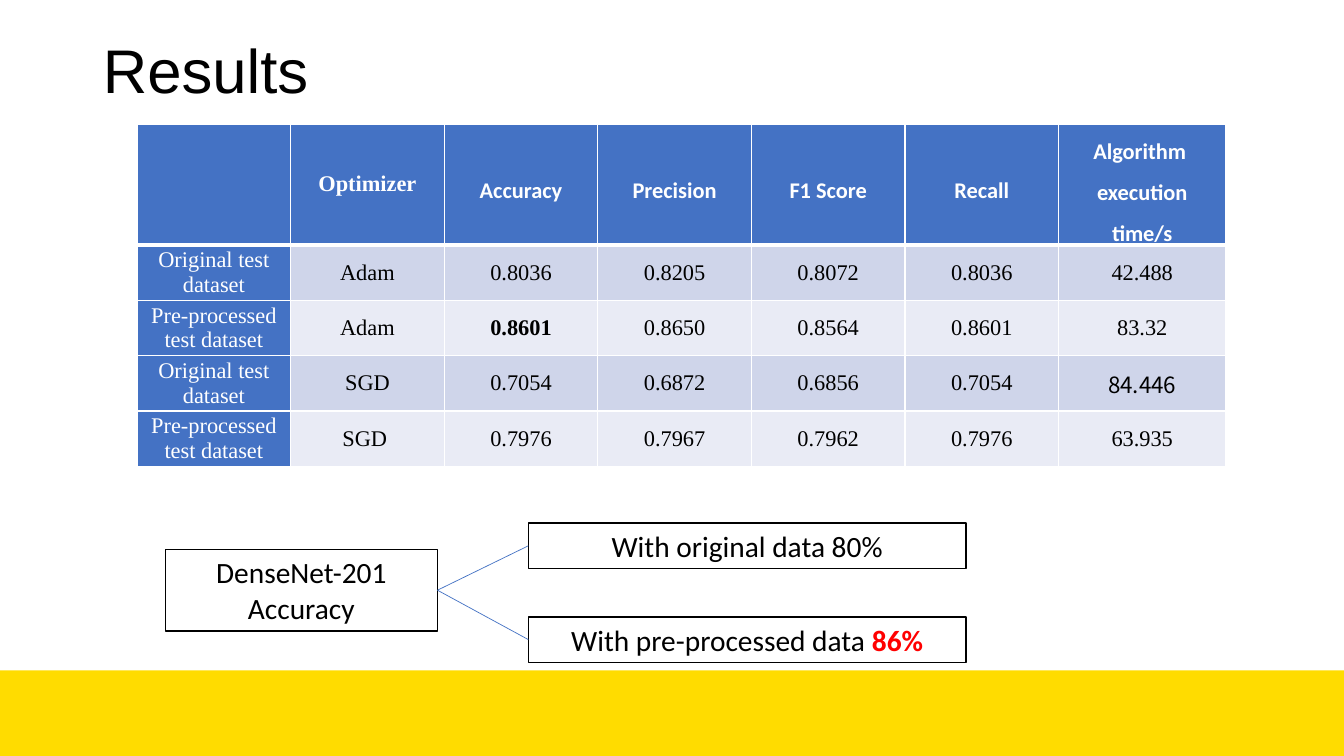
from dataclasses import dataclass

from lxml.etree import SubElement
from pptx import Presentation
from pptx.dml.color import RGBColor
from pptx.enum.shapes import MSO_CONNECTOR, MSO_SHAPE
from pptx.enum.text import MSO_ANCHOR, MSO_AUTO_SIZE, PP_ALIGN
from pptx.oxml.ns import qn
from pptx.util import Inches, Pt

SLIDE_WIDTH, SLIDE_HEIGHT = Inches(13.333), Inches(7.5)
BLACK, WHITE, RED = "000000", "FFFFFF", "FF0000"
BLUE, YELLOW = "4472C4", "FFDC00"
BANDS = ("CFD5EA", "E9EBF5")
SERIF, SANS = "Times New Roman", "Calibri"


@dataclass(frozen=True)
class Run:
    text: str
    size: float
    font: str
    color: str = BLACK
    bold: bool = False


@dataclass(frozen=True)
class Area:
    """Percent shares of the slide's width and height."""
    left: float
    top: float
    width: float
    height: float

    def lengths(self) -> tuple:
        return (across(self.left), down(self.top),
                across(self.width), down(self.height))


@dataclass(frozen=True)
class Box:
    area: Area
    lines: tuple


def across(share: float) -> int:
    return round(SLIDE_WIDTH * share / 100)


def down(share: float) -> int:
    return round(SLIDE_HEIGHT * share / 100)


def rgb(value: str) -> RGBColor:
    return RGBColor.from_string(value)


def write(frame, lines, align=PP_ALIGN.CENTER, spacing: float = 1.0) -> None:
    for index, line in enumerate(lines):
        paragraph = frame.add_paragraph() if index else frame.paragraphs[0]
        paragraph.alignment = align
        paragraph.line_spacing = spacing
        for part in line:
            run = paragraph.add_run()
            run.text = part.text
            run.font.size = Pt(part.size)
            run.font.name = part.font
            run.font.bold = part.bold
            run.font.color.rgb = rgb(part.color)


def draw_rectangle(slide, area: Area, fill: str):
    rectangle = slide.shapes.add_shape(MSO_SHAPE.RECTANGLE, *area.lengths())
    rectangle.shadow.inherit = False
    rectangle.fill.solid()
    rectangle.fill.fore_color.rgb = rgb(fill)
    rectangle.line.fill.background()
    return rectangle


def draw_box(slide, box: Box):
    outlined = draw_rectangle(slide, box.area, WHITE)
    outlined.line.color.rgb = rgb(BLACK)
    outlined.line.width = Pt(1)
    frame = outlined.text_frame
    frame.word_wrap = True
    frame.vertical_anchor = MSO_ANCHOR.TOP
    frame.auto_size = MSO_AUTO_SIZE.SHAPE_TO_FIT_TEXT
    write(frame, box.lines)
    return outlined


def draw_branch(slide, root, leaf) -> None:
    branch = slide.shapes.add_connector(MSO_CONNECTOR.STRAIGHT, 0, 0, 0, 0)
    branch.begin_connect(root, 3)
    branch.end_connect(leaf, 1)
    branch.line.color.rgb = rgb(BLUE)
    branch.line.width = Pt(0.5)
    SubElement(branch._element.spPr, qn("a:effectLst"))


def style_cell(cell, fill: str, top: float = 1, bottom: float = 1) -> None:
    # Borders come before the fill in the cell properties
    properties = cell._tc.get_or_add_tcPr()
    for side, width in (("L", 1), ("R", 1), ("T", top), ("B", bottom)):
        border = SubElement(properties, qn(f"a:ln{side}"), w=str(Pt(width)))
        SubElement(SubElement(border, qn("a:solidFill")),
                   qn("a:srgbClr"), val=WHITE)
    cell.fill.solid()
    cell.fill.fore_color.rgb = rgb(fill)
    cell.vertical_anchor = MSO_ANCHOR.MIDDLE
    cell.margin_left = cell.margin_right = Inches(0.07)
    cell.margin_top = cell.margin_bottom = 0


# Results table
TABLE_AREA = Area(10.2, 16.4, 81.03, 44.67)
COLUMN_SHARES = [11.43] * 6 + [12.45]
ROW_SHARES = [10.13] + [7.33] * 4
HEADINGS = ((), ("Optimizer",), ("Accuracy",), ("Precision",), ("F1 Score",),
            ("Recall",), ("Algorithm ", "execution time/s"))
RESULTS = (
    ("Original test dataset", "Adam",
     "0.8036", "0.8205", "0.8072", "0.8036", "42.488"),
    ("Pre-processed test dataset", "Adam",
     "0.8601", "0.8650", "0.8564", "0.8601", "83.32"),
    ("Original test dataset", "SGD",
     "0.7054", "0.6872", "0.6856", "0.7054", "84.446"),
    ("Pre-processed test dataset", "SGD ",
     "0.7976", "0.7967", "0.7962", "0.7976", "63.935"),
)
BEST_ACCURACY = (2, 2)
CJK_FONT_TIME = (3, 6)


def draw_results(slide) -> None:
    holder = slide.shapes.add_table(len(ROW_SHARES), len(COLUMN_SHARES),
                                    *TABLE_AREA.lengths())
    table = holder.table
    for column, share in zip(table.columns, COLUMN_SHARES):
        column.width = across(share)
    for row, share in zip(table.rows, ROW_SHARES):
        row.height = down(share)
    holder.height = down(TABLE_AREA.height)

    for column, heading in enumerate(HEADINGS):
        cell = table.cell(0, column)
        style_cell(cell, BLUE, bottom=3)
        font, spacing = (SERIF, 1.0) if column == 1 else (SANS, 1.5)
        lines = [[Run(text, 16, font, WHITE, True)] for text in heading]
        write(cell.text_frame, lines, spacing=spacing)

    for row, values in enumerate(RESULTS, start=1):
        for column, value in enumerate(values):
            cell = table.cell(row, column)
            is_label = column == 0
            style_cell(cell, BLUE if is_label else BANDS[(row - 1) % 2],
                       top=3 if row == 1 else 1)
            place = (row, column)
            font = "Noto Sans CJK SC" if place == CJK_FONT_TIME else SERIF
            write(cell.text_frame, [[Run(value, 16, font,
                                         WHITE if is_label else BLACK,
                                         place == BEST_ACCURACY)]])


# Accuracy comparison
MODEL = Box(Area(12.3, 72.67, 20.25, 10.8),
            ((Run("DenseNet-201", 21, SANS),), (Run("Accuracy", 21, SANS),)))
OUTCOMES = (
    Box(Area(39.31, 69.2, 32.56, 6),
        ((Run("With original data 80%", 21, SANS),),)),
    Box(Area(39.31, 81.6, 32.56, 6),
        ((Run("With pre-processed data ", 21, SANS),
          Run("86%", 21, SANS, RED, True)),)),
)


def main() -> None:
    presentation = Presentation()
    presentation.slide_width = SLIDE_WIDTH
    presentation.slide_height = SLIDE_HEIGHT
    slide = presentation.slides.add_slide(presentation.slide_layouts[5])

    # Footer band
    draw_rectangle(slide, Area(0, 88.67, 100, 11.33), YELLOW)

    # Title
    title = slide.shapes.title
    title.left, title.top, title.width, title.height = Area(
        6.9, 0, 86.27, 19.33).lengths()
    title.text_frame.vertical_anchor = MSO_ANCHOR.MIDDLE
    title.text_frame.auto_size = MSO_AUTO_SIZE.NONE
    write(title.text_frame, [[Run("Results", 44, "Arial")]],
          PP_ALIGN.LEFT, 0.9)

    # Model with its two outcomes
    model = draw_box(slide, MODEL)
    for outcome in OUTCOMES:
        draw_branch(slide, model, draw_box(slide, outcome))

    draw_results(slide)
    presentation.save("out.pptx")


if __name__ == "__main__":
    main()
